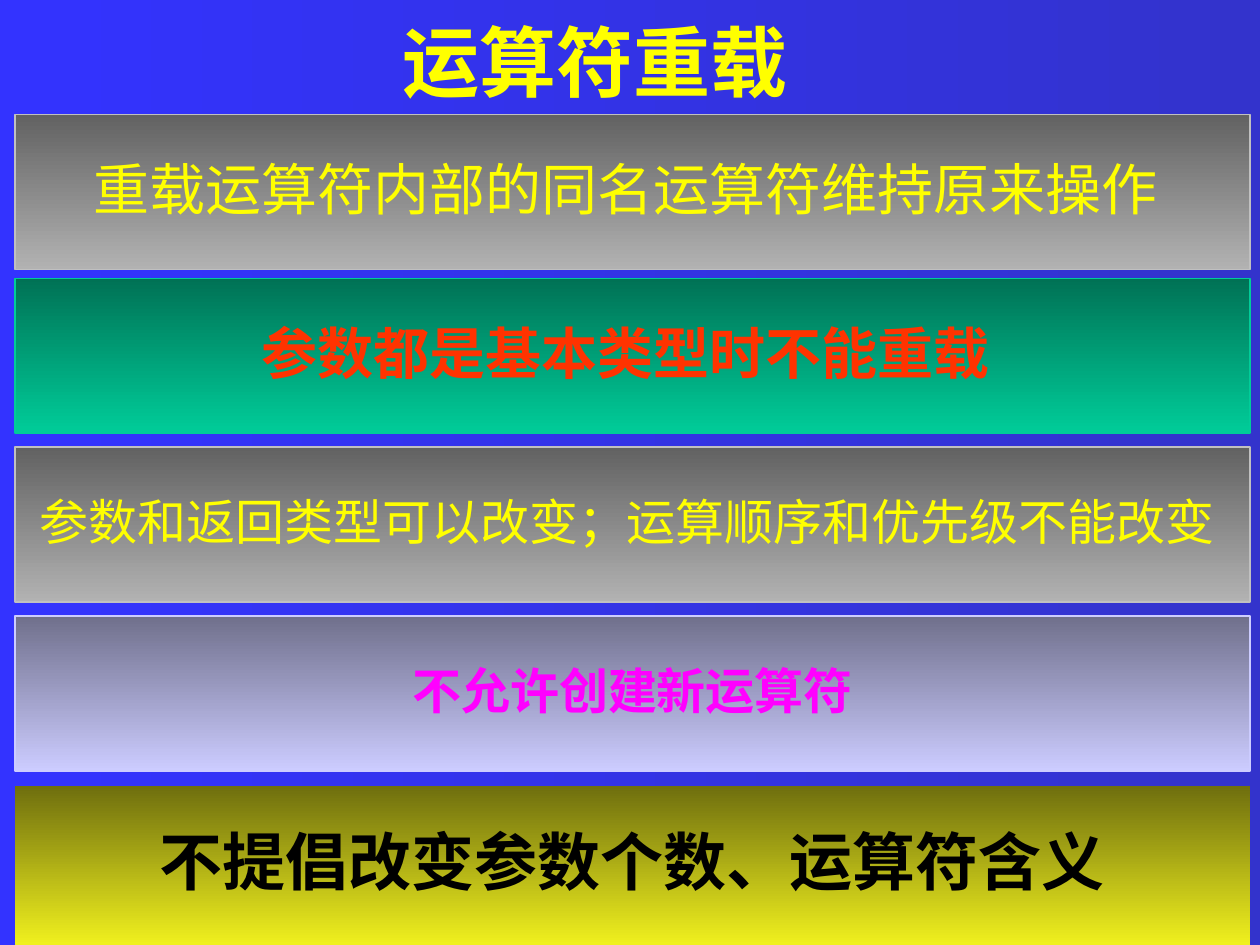
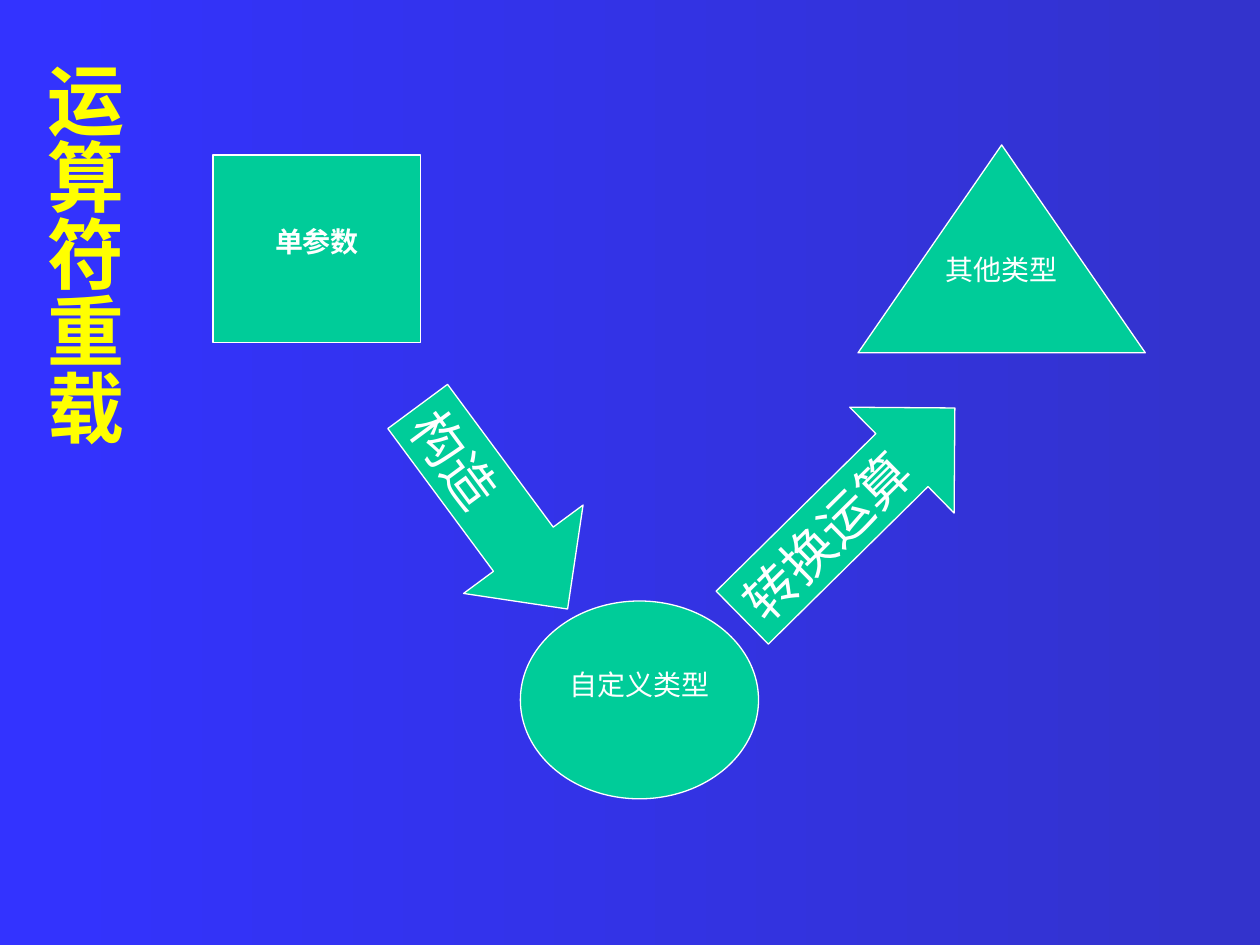
from pptx import Presentation
from pptx.dml.color import RGBColor
from pptx.enum.lang import MSO_LANGUAGE_ID
from pptx.enum.shapes import MSO_SHAPE
from pptx.enum.text import MSO_ANCHOR, MSO_AUTO_SIZE, PP_ALIGN
from pptx.util import Inches, Pt

RECT, ELLIPSE = MSO_SHAPE.RECTANGLE, MSO_SHAPE.OVAL
TRIANGLE, ARROW = MSO_SHAPE.ISOSCELES_TRIANGLE, MSO_SHAPE.RIGHT_ARROW
CENTER, LEFT = PP_ALIGN.CENTER, PP_ALIGN.LEFT
MIDDLE, TOP = MSO_ANCHOR.MIDDLE, MSO_ANCHOR.TOP
CHINESE = MSO_LANGUAGE_ID.SIMPLIFIED_CHINESE

BG_LEFT, BG_RIGHT = RGBColor(0x33, 0x33, 0xFF), RGBColor(0x33, 0x33, 0xCC)
YELLOW = RGBColor(0xFF, 0xFF, 0x00)
RED = RGBColor(0xFF, 0x33, 0x00)
MAGENTA = RGBColor(0xFF, 0x00, 0xFF)
BLACK = RGBColor(0x00, 0x00, 0x00)
WHITE = RGBColor(0xFF, 0xFF, 0xFF)
GREEN = RGBColor(0x00, 0xCC, 0x99)
SILVER = RGBColor(0xC0, 0xC0, 0xC0)
LILAC = RGBColor(0xCC, 0xCC, 0xFF)

# Gradients from top to bottom
GRAY_FADE = (RGBColor(0x62, 0x62, 0x62), RGBColor(0xB2, 0xB2, 0xB2))
GREEN_FADE = (RGBColor(0x00, 0x72, 0x55), GREEN)
LILAC_FADE = (RGBColor(0x70, 0x70, 0x8C), LILAC)
GOLD_FADE = (RGBColor(0x6F, 0x6F, 0x0E), RGBColor(0xF0, 0xF0, 0x1E))

SERIF, SANS = "Times New Roman", "Arial"
TITLE = "运算符重载"
BAR_LEFT, BAR_WIDTH = 0.12, 9.8

# top, height, gradient, line colour, text, size, font, text colour, bold
RULES = [
    (0.91, 1.23, GRAY_FADE, SILVER, "重载运算符内部的同名运算符维持原来操作 ", 32, SERIF, YELLOW, False),
    (2.21, 1.23, GREEN_FADE, GREEN, "参数都是基本类型时不能重载 ", 32, SERIF, RED, True),
    (3.55, 1.23, GRAY_FADE, SILVER, "参数和返回类型可以改变；运算顺序和优先级不能改变 ", 28, SERIF, YELLOW, False),
    (4.89, 1.23, LILAC_FADE, LILAC, "不允许创建新运算符", 28, SERIF, MAGENTA, True),
    (6.24, 1.26, GOLD_FADE, None, "不提倡改变参数个数、运算符含义", 36, SANS, BLACK, True),
]

# kind, box, rotation, text, size, bold, alignment, top margin
CONVERSIONS = [
    (RECT, (1.69, 1.23, 1.65, 1.49), 0, "单参数", 16, True, CENTER, 0.55),
    (ELLIPSE, (4.13, 4.77, 1.89, 1.57), 0, "自定义类型", 16, False, CENTER, 0.3),
    (TRIANGLE, (6.81, 1.15, 2.28, 1.65), 0, "其他类型", 16, False, CENTER, 0.03),
    (ARROW, (2.91, 3.44, 2, 1.18), 53.5, "构造", 30, False, LEFT, 0.05),
    (ARROW, (5.55, 3.48, 2.37, 1.18), 315.4, "转换运算", 30, False, LEFT, 0.05),
]


def fade(fill, colors, angle):
    fill.gradient()
    fill.gradient_angle = angle
    for stop, color in zip(fill.gradient_stops, colors):
        stop.color.rgb = color


def outline(sp, color, width):
    if color is None:
        sp.line.fill.background()
    else:
        sp.line.color.rgb = color
        sp.line.width = Pt(width)


def write(sp, text, size, color, bold=False, font=SERIF, align=CENTER, anchor=MIDDLE):
    tf = sp.text_frame
    tf.vertical_anchor = anchor
    p = tf.paragraphs[0]
    p.alignment = align
    r = p.add_run()
    r.text = text
    r.font.name, r.font.size, r.font.bold = font, Pt(size), bold
    r.font.color.rgb = color
    r.font.language_id = CHINESE
    return p


def add_shape(s, kind, box):
    sp = s.shapes.add_shape(kind, *map(Inches, box))
    sp.shadow.inherit = False
    return sp


def add_titled_slide(prs, box, **style):
    s = prs.slides.add_slide(prs.slide_layouts[5])
    title = s.shapes.title
    title.left, title.top, title.width, title.height = map(Inches, box)
    title.text_frame.auto_size = MSO_AUTO_SIZE.NONE
    write(title, TITLE, 44, YELLOW, bold=True, **style)
    return s


def build_rules(prs):
    s = add_titled_slide(prs, (-0.28, 0.13, 10, 0.71))
    for top, height, colors, edge, text, size, font, color, bold in RULES:
        sp = add_shape(s, RECT, (BAR_LEFT, top, BAR_WIDTH, height))
        fade(sp.fill, colors, 270)
        outline(sp, edge, 1)
        sp.text_frame.word_wrap = False
        write(sp, text, size, color, bold, font).line_spacing = 0.9


def build_conversions(prs):
    s = add_titled_slide(prs, (0.2, 0.44, 0.93, 6.14), align=LEFT, anchor=TOP)
    s.shapes.title.text_frame._txBody.bodyPr.set("vert", "eaVert")
    for kind, box, rotation, text, size, bold, align, margin in CONVERSIONS:
        sp = add_shape(s, kind, box)
        sp.rotation = rotation
        sp.fill.solid()
        sp.fill.fore_color.rgb = GREEN
        outline(sp, WHITE, 0.75)
        sp.text_frame.word_wrap = True
        sp.text_frame.margin_top = Inches(margin)
        write(sp, text, size, WHITE, bold, align=align, anchor=TOP)


def main():
    prs = Presentation()
    prs.slide_width, prs.slide_height = Inches(10), Inches(7.5)
    fade(prs.slide_master.background.fill, (BG_LEFT, BG_RIGHT), 0)
    build_rules(prs)
    build_conversions(prs)
    prs.save("out.pptx")


if __name__ == "__main__":
    main()
